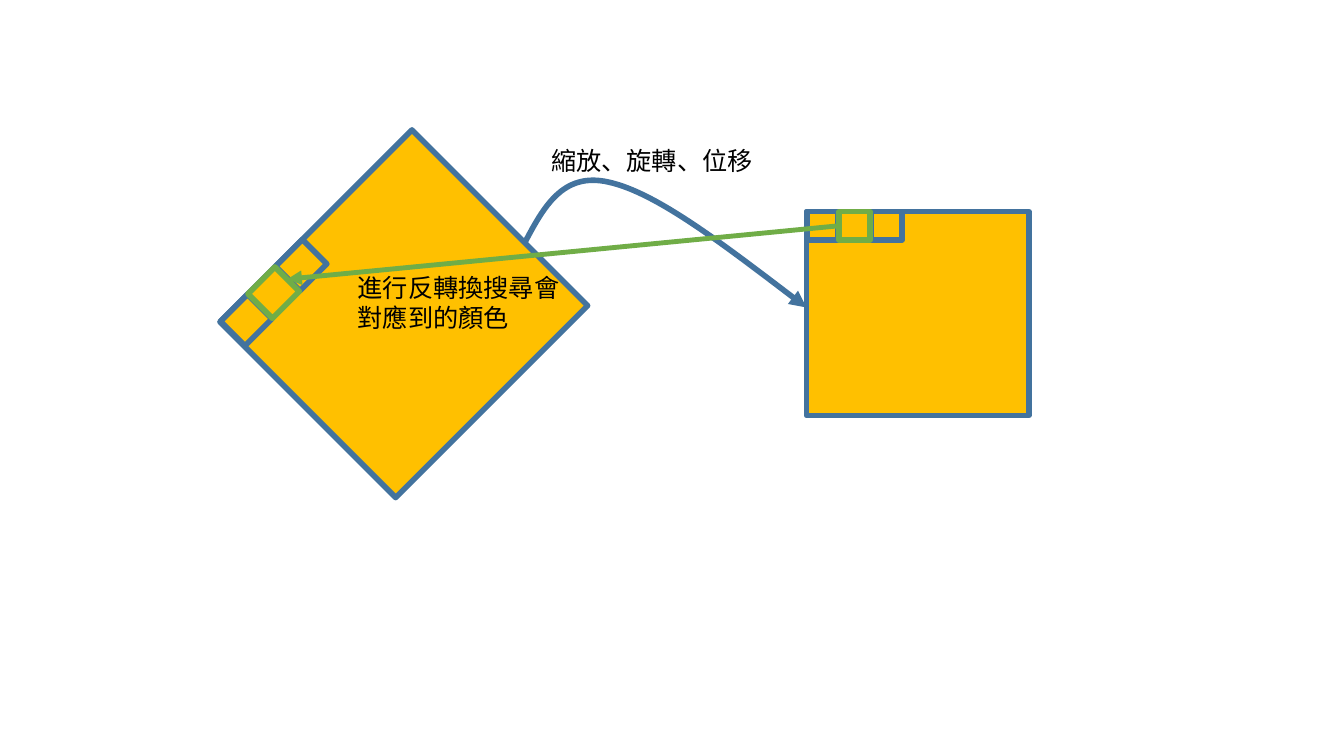
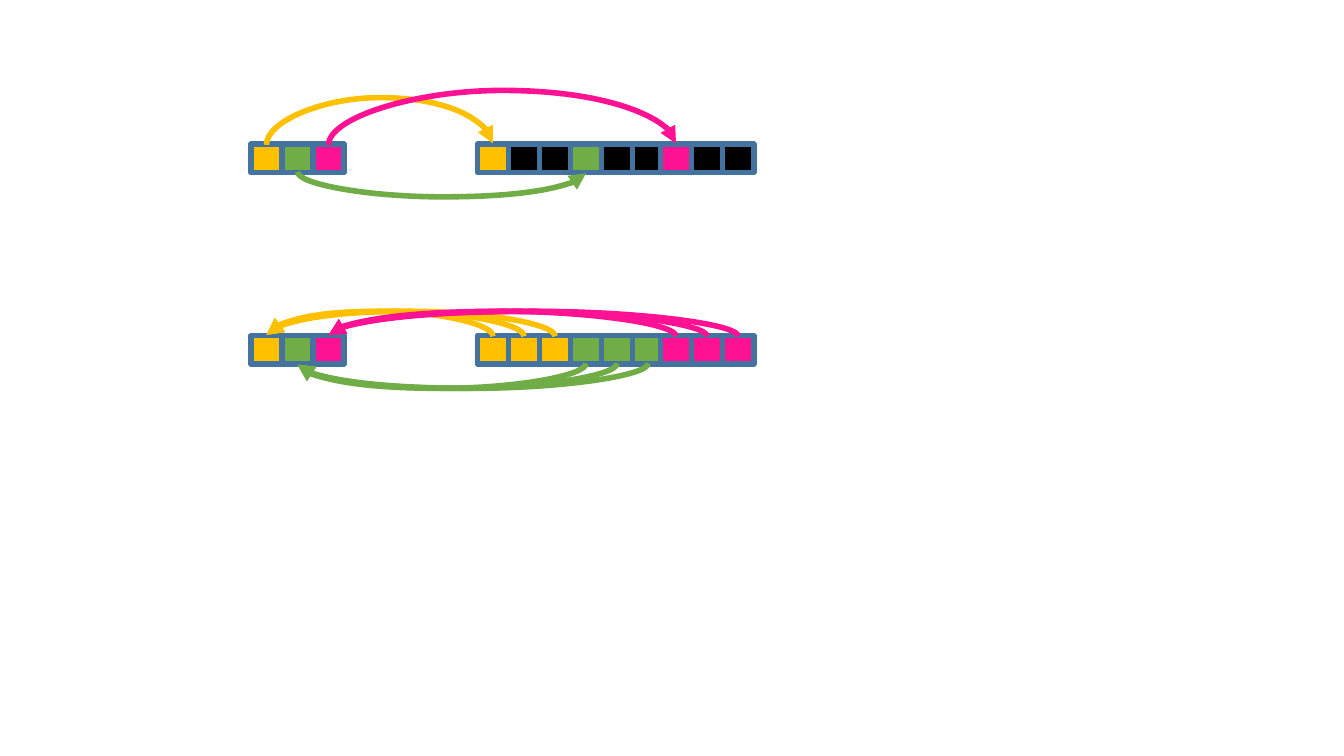
from dataclasses import dataclass

from pptx import Presentation
from pptx.dml.color import RGBColor
from pptx.enum.shapes import MSO_CONNECTOR, MSO_SHAPE
from pptx.enum.text import MSO_AUTO_SIZE
from pptx.oxml.ns import qn
from pptx.oxml.xmlchemy import OxmlElement
from pptx.util import Pt


@dataclass(frozen=True)
class Theme:
    outline: str = "43739E"
    amber: str = "FFC000"
    green: str = "70AD47"
    pink: str = "FF1193"
    black: str = "000000"
    font: str = "Noto Sans CJK TC"
    text_size: float = 18
    line_width: float = 4
    pointer_width: float = 3.5


THEME = Theme()
BLANK_LAYOUT = 6
CELL_WIDTH, CELL_HEIGHT = 22.25, 20.25
CELL_PITCH = 22.2
SOURCE_LEFT = 179.2
TARGET_LEFTS = (341, 407.5, 471.75)
TOP_SITE, BOTTOM_SITE = 0, 2


def set_values(target, values):
    for name, value in values.items():
        setattr(target, name, value)


def add_child(parent, tag, **attributes):
    child = OxmlElement(tag)
    for name, value in attributes.items():
        child.set(name, str(value))
    parent.append(child)
    return child


def style_line(item, color, width=THEME.line_width, arrow=False):
    item.line.color.rgb = RGBColor.from_string(color)
    item.line.width = Pt(width)
    if arrow:
        add_child(item._element.spPr.find(qn("a:ln")), "a:tailEnd", type="triangle")


def add_rectangle(shapes, left, top, width, height, fill, outline=THEME.outline):
    box = shapes.add_shape(MSO_SHAPE.RECTANGLE, Pt(left), Pt(top), Pt(width), Pt(height))
    box.shadow.inherit = False
    box.fill.solid()
    box.fill.fore_color.rgb = RGBColor.from_string(fill)
    style_line(box, outline)
    return box


def add_label(page, text, left, top, width, height):
    box = page.shapes.add_textbox(Pt(left), Pt(top), Pt(width), Pt(height))
    set_values(box.text_frame, {"word_wrap": True, "auto_size": MSO_AUTO_SIZE.SHAPE_TO_FIT_TEXT})
    span = box.text_frame.paragraphs[0].add_run()
    span.text = text
    set_values(span.font, {"size": Pt(THEME.text_size), "name": THEME.font})
    span.font.color.rgb = RGBColor.from_string(THEME.black)
    add_child(span.font._element, "a:ea", typeface=THEME.font)


def add_pixel_panel(page, left, top, scale=1, rotation=0):
    group = page.shapes.add_group_shape()
    add_rectangle(group.shapes, left, top, 159 * scale, 145.5 * scale, THEME.amber)
    for column, outline in ((0, THEME.outline), (2, THEME.outline), (1, THEME.green)):
        add_rectangle(group.shapes, left + (0.5 + 22.75 * column) * scale, top,
                      CELL_WIDTH * scale, CELL_HEIGHT * scale, THEME.amber, outline)
    group.rotation = rotation


def add_curve_arrow(page, start, segments, color):
    anchors = [(Pt(x), Pt(y)) for *_, (x, y) in segments]
    builder = page.shapes.build_freeform(Pt(start[0]), Pt(start[1]))
    builder.add_line_segments(anchors, close=False)
    curve = builder.convert_to_shape()
    curve.shadow.inherit = False
    curve.fill.background()
    style_line(curve, color, arrow=True)
    outline = curve._element.spPr.find(".//" + qn("a:path"))
    for straight, points in zip(outline.findall(qn("a:lnTo")), segments):
        bezier = OxmlElement("a:cubicBezTo")
        for x, y in points:
            add_child(bezier, "a:pt", x=Pt(x) - curve.left, y=Pt(y) - curve.top)
        outline.replace(straight, bezier)


def add_pointer(page, start, end, color):
    pointer = page.shapes.add_connector(
        MSO_CONNECTOR.STRAIGHT, *(Pt(value) for value in (*start, *end)))
    style_line(pointer, color, THEME.pointer_width, arrow=True)
    add_child(pointer._element.spPr, "a:effectLst")


def add_arc(page, source, target, color, upward, bulge):
    site = TOP_SITE if upward else BOTTOM_SITE
    arc = page.shapes.add_connector(MSO_CONNECTOR.CURVE, 0, 0, 0, 0)
    arc.begin_connect(source, site)
    arc.end_connect(target, site)
    rightward = target.left > source.left
    span = abs(target.left - source.left)
    middle = (source.left + target.left + source.width) // 2
    edge = source.top + (0 if upward else source.height)
    set_values(arc, {"left": middle - Pt(0.5), "top": edge - span // 2,
                     "width": Pt(1), "height": span})
    properties = arc._element.spPr
    frame = properties.find(qn("a:xfrm"))
    turn = 90 if upward == rightward else 270
    for name, value in {"rot": turn * 60000, "flipH": int(rightward),
                        "flipV": int(upward)}.items():
        frame.set(name, str(value))
    guides = properties.find(qn("a:prstGeom")).get_or_add_avLst()
    add_child(guides, "a:gd", name="adj1", fmla=f"val {round(bulge * 100000)}")
    style_line(arc, color, arrow=True)
    add_child(properties, "a:effectLst")


def add_triplet(page, left, top, colors):
    return [add_rectangle(page.shapes, left + column * CELL_PITCH, top,
                          CELL_WIDTH, CELL_HEIGHT, color)
            for column, color in enumerate(colors)]


def add_pixel_row(page, top, fillers):
    colors = (THEME.amber, THEME.green, THEME.pink)
    sources = add_triplet(page, SOURCE_LEFT, top, colors)
    targets = [add_triplet(page, left, top, (color, filler or color, filler or color))
               for left, color, filler in zip(TARGET_LEFTS, colors, fillers)]
    return list(zip(colors, sources, targets))


def build_rotation_page(page):
    add_curve_arrow(page, (374.4, 174.2),
                    [((388.1, 148.3), (401.8, 122.4), (434.9, 130.1)),
                     ((468.7, 137.5), (522, 178.6), (576, 219.6))], THEME.outline)
    add_label(page, "縮放、旋轉、位移", 386.6, 100.1, 160, 29)
    add_pixel_panel(page, 191.5, 135.4, scale=1.22, rotation=315)
    add_pixel_panel(page, 576, 151.2)
    add_pointer(page, (599, 161.3), (205.2, 199.4), THEME.green)
    add_label(page, "進行反轉換搜尋會對應到的顏色", 248.4, 190.8, 160, 51)


def build_mapping_page(page):
    forward = add_pixel_row(page, 103, (THEME.black,) * 3)
    for (color, source, targets), bulge in zip(forward, (34, 18, 39.2)):
        add_arc(page, source, targets[0], color, color != THEME.green, bulge)
    backward = add_pixel_row(page, 239.75, (None,) * 3)
    for color, source, targets in backward:
        for target in targets:
            add_arc(page, target, source, color, color != THEME.green, 18)


def main():
    deck = Presentation()
    set_values(deck, {"slide_width": Pt(960), "slide_height": Pt(540)})
    for build in (build_rotation_page, build_mapping_page):
        build(deck.slides.add_slide(deck.slide_layouts[BLANK_LAYOUT]))
    deck.save("out.pptx")


main()
